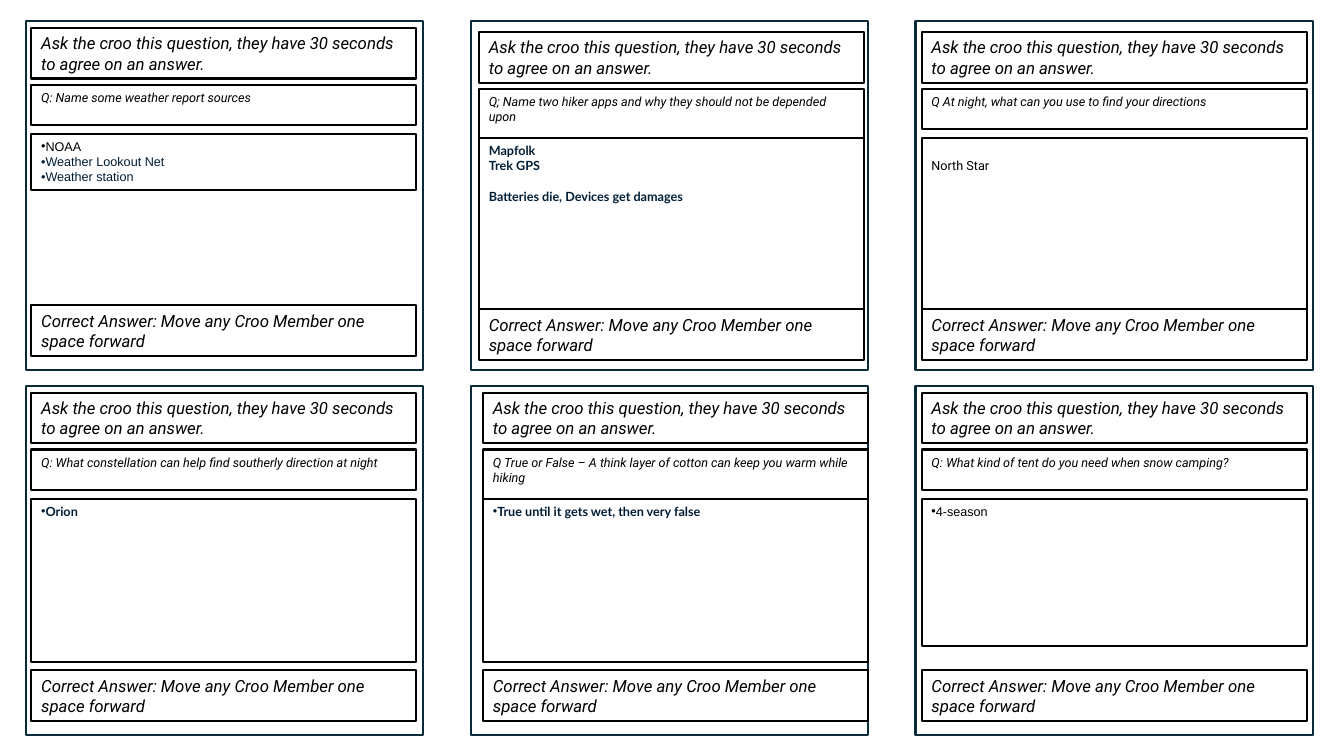
from dataclasses import dataclass

from lxml import etree
from pptx import Presentation, util as u
from pptx.dml.color import RGBColor
from pptx.enum import shapes, text
from pptx.oxml.ns import qn

PX = 9144  # EMU per px, 100 px to the inch


@dataclass(frozen=True)
class Theme:
    frame: str = "092A39"
    ink: str = "000000"
    navy: str = "001D35"
    paper: str = "FFFFFF"
    line: float = 1.5
    prompt_size: int = 12
    body_size: int = 9
    paragraph_gap: float = 10.8


THEME = Theme()
PROMPT = dict(name="Roboto", size=THEME.prompt_size, color=THEME.ink, italic=True)
QUESTION = dict(PROMPT, size=THEME.body_size)
PLAIN = dict(name="Arial", size=THEME.body_size, color=THEME.ink)
PLAIN_NAVY = dict(PLAIN, color=THEME.navy)
BOLD_NAVY = dict(PLAIN_NAVY, name="Lato", bold=True)
STAR = dict(PLAIN, name="Roboto")


class CardSheet:
    def __init__(self, slide, theme):
        self.slide = slide
        self.theme = theme

    def rectangle(self, parent, left, top, width, height, line_color, fill=None):
        box = parent.shapes.add_shape(
            shapes.MSO_SHAPE.RECTANGLE, *(n * PX for n in (left, top, width, height)))
        box.shadow.inherit = False
        box.line.color.rgb = RGBColor.from_string(line_color)
        box.line.width = u.Pt(self.theme.line)
        if fill:
            box.fill.solid()
            box.fill.fore_color.rgb = RGBColor.from_string(fill)
        else:
            box.fill.background()
        return box

    def frame(self, left, top):
        self.rectangle(self.slide, left, top, 394, 346, self.theme.frame)

    def field(self, card, left, top, height, lines, bulleted=False, inset=5):
        """Add a white box; lines holds (words, style, space before)."""
        box = self.rectangle(card, left, top, 382, height, self.theme.ink, self.theme.paper)
        frame = box.text_frame
        layout = dict(word_wrap=True, vertical_anchor=text.MSO_ANCHOR.TOP,
                      margin_left=10 * PX, margin_right=10 * PX,
                      margin_top=inset * PX, margin_bottom=5 * PX)
        for key, value in layout.items():
            setattr(frame, key, value)
        for index, (words, style, gap) in enumerate(lines):
            paragraph = frame.add_paragraph() if index else frame.paragraphs[0]
            self.paragraph(paragraph, words, style, gap, bulleted)

    def paragraph(self, paragraph, words, style, gap, bulleted):
        if bulleted:
            properties = paragraph._p.get_or_add_pPr()
            properties.set("marL", "0")
            properties.set("indent", "0")
            etree.SubElement(properties, qn("a:buFont")).set("typeface", "Arial")
            etree.SubElement(properties, qn("a:buChar")).set("char", "•")
        paragraph.alignment = text.PP_ALIGN.LEFT
        if gap:
            paragraph.space_before = u.Pt(gap)
        run = paragraph.add_run()
        run.text = words
        for key, value in style.items():
            if key == "color":
                run.font.color.rgb = RGBColor.from_string(value)
            else:
                setattr(run.font, key, u.Pt(value) if key == "size" else value)

    def card(self, left, top, question, question_height, answer_height, answer,
             bulleted=False, inset=5):
        group = self.slide.shapes.add_group_shape()
        self.field(group, left, top, 50, [
            ("Ask the croo this question, they have 30 seconds to agree on an answer.",
             PROMPT, 0)])
        self.field(group, left, top + 56, question_height, [(question, QUESTION, 0)])
        self.field(group, left, top + 105, answer_height, answer, bulleted, inset)
        self.field(group, left, top + 275, 50, [
            ("Correct Answer: Move any Croo Member one space forward", PROMPT, 0)])


CARDS = [
    dict(left=31, top=28, question="Q: Name some weather report sources",
         question_height=40, answer_height=56, bulleted=True,
         answer=[("NOAA", PLAIN, 0), ("Weather Lookout Net", PLAIN_NAVY, 0),
                 ("Weather station", PLAIN_NAVY, 0)]),
    dict(left=914, top=390, question="Q: What kind of tent do you need when snow camping?",
         question_height=40, answer_height=146, bulleted=True,
         answer=[("4-season", PLAIN, 0)]),
    dict(left=479, top=390,
         question="Q True or False – A think layer of cotton can keep you warm while hiking",
         question_height=56, answer_height=162, bulleted=True,
         answer=[("True until it gets wet, then very false", BOLD_NAVY, 0)]),
    dict(left=31, top=390,
         question="Q: What constellation can help find southerly direction at night",
         question_height=40, answer_height=162, bulleted=True,
         answer=[("Orion", BOLD_NAVY, 0)]),
    dict(left=475, top=32,
         question="Q; Name two hiker apps and why they should not be depended upon",
         question_height=56, answer_height=207,
         answer=[("Mapfolk", BOLD_NAVY, 0), ("Trek GPS", BOLD_NAVY, 0),
                 ("Batteries die, Devices get damages", BOLD_NAVY, THEME.paragraph_gap)]),
    dict(left=914, top=32, question="Q At night, what can you use to find your directions",
         question_height=40, answer_height=177, inset=20,
         answer=[("North Star", STAR, 0)]),
]


def main():
    deck = Presentation()
    deck.slide_width, deck.slide_height = 1333 * PX, 750 * PX
    sheet = CardSheet(deck.slides.add_slide(deck.slide_layouts[6]), THEME)

    # Outer frames, three by two
    for row in range(2):
        for column in range(3):
            sheet.frame(26 + 441 * column, 21 + 362 * row)

    # Question cards
    for card in CARDS:
        sheet.card(**card)

    deck.save("out.pptx")


if __name__ == "__main__":
    main()
